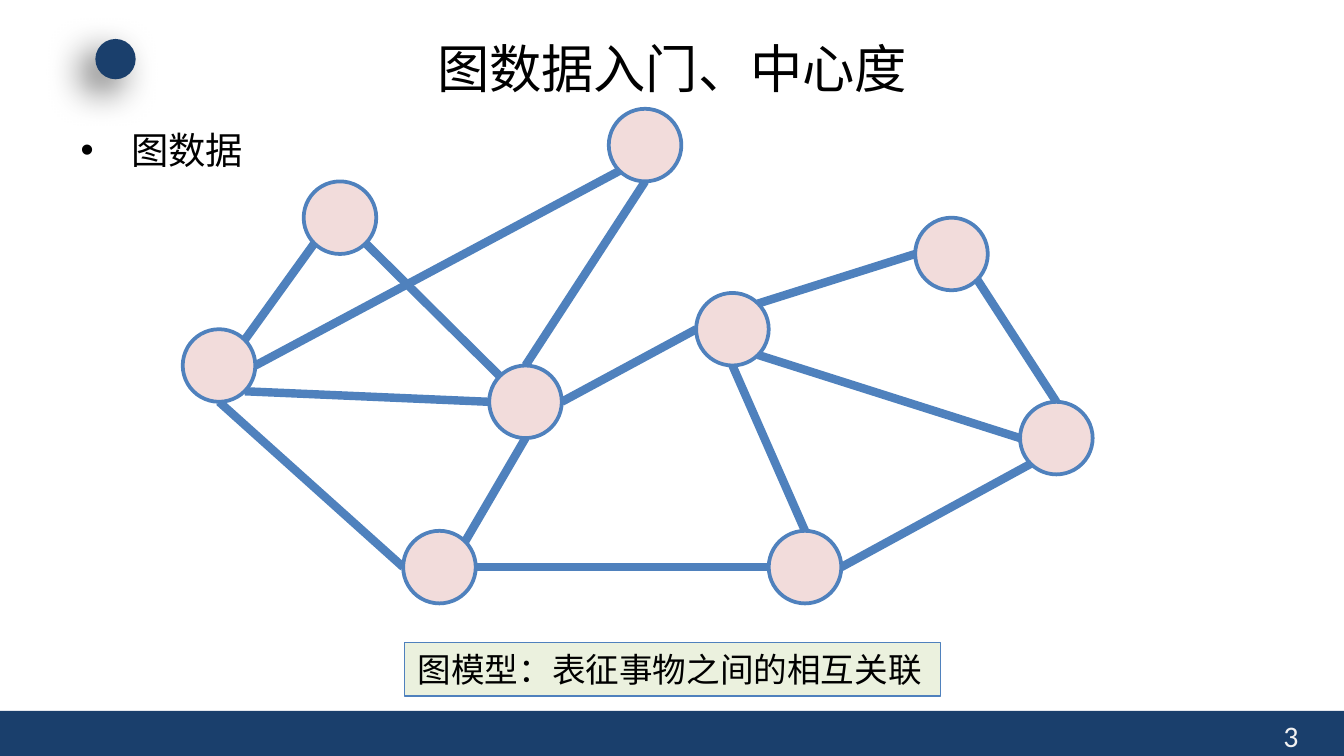
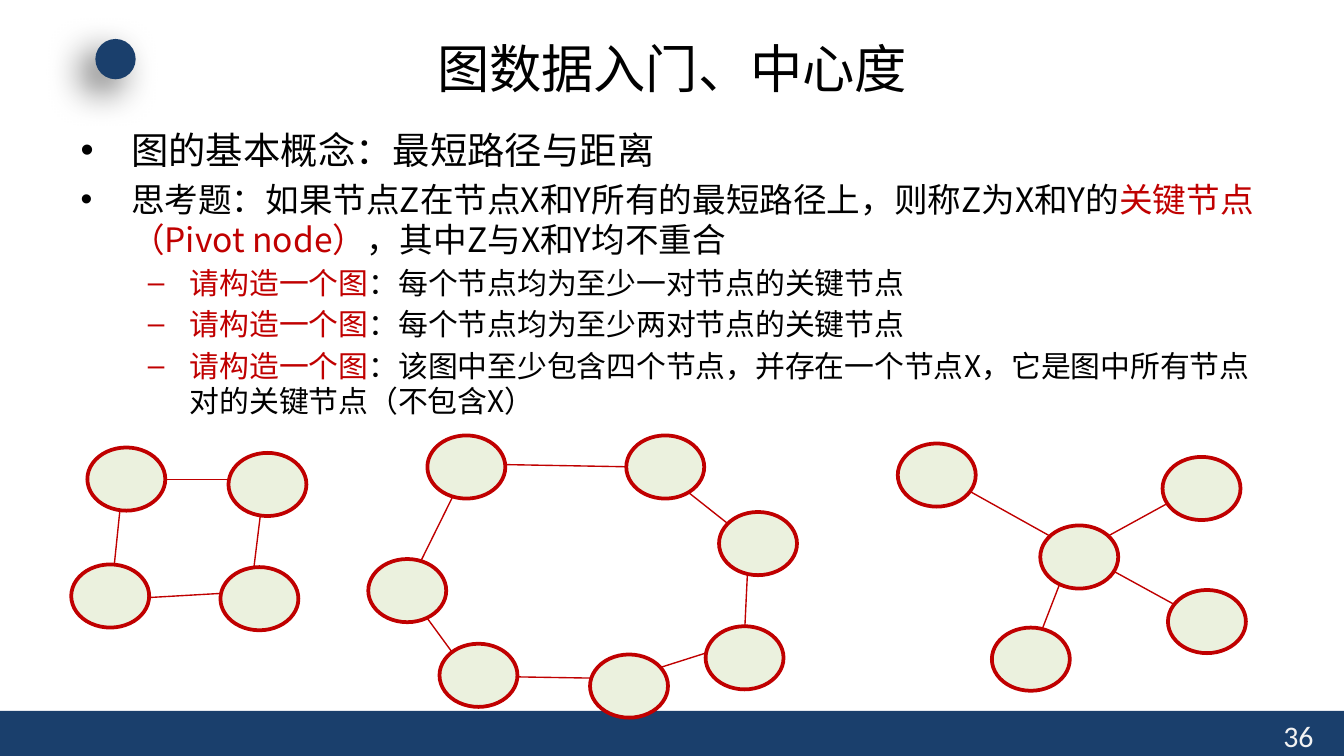
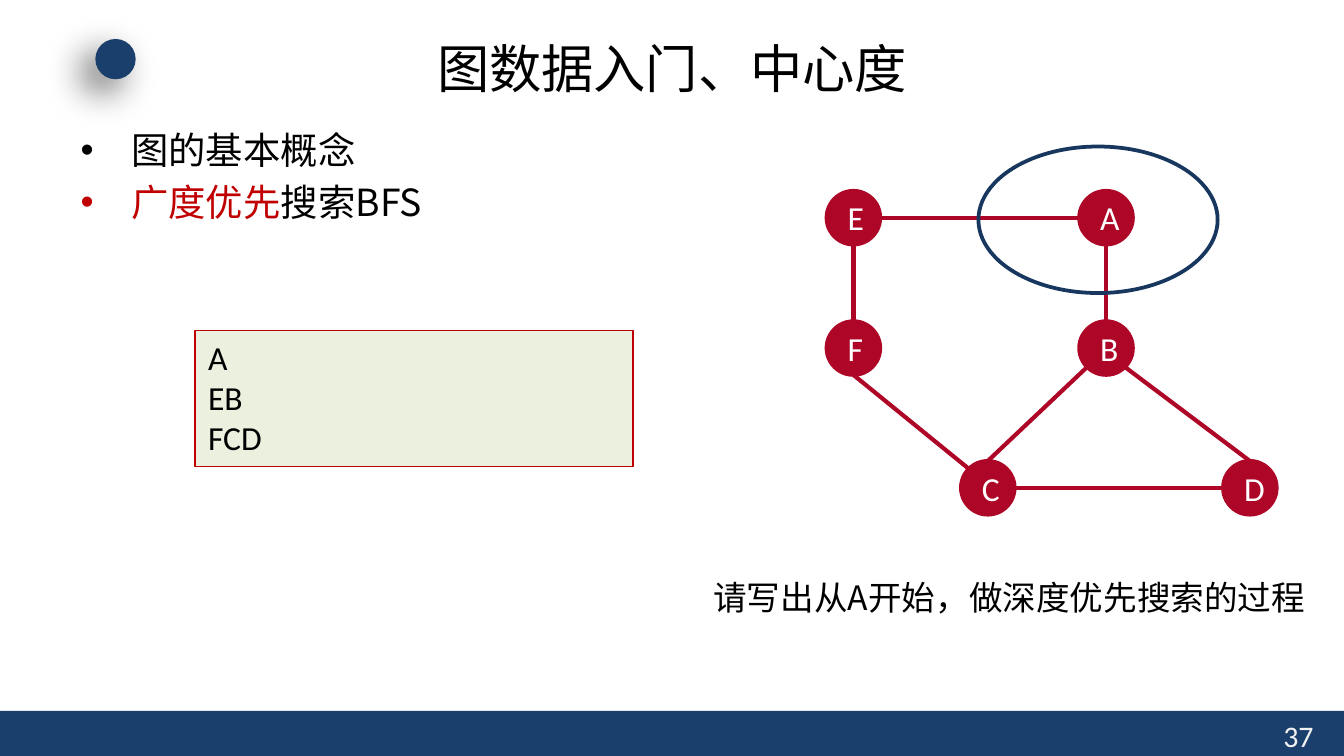
from dataclasses import dataclass
from lxml.etree import SubElement
from pptx import Presentation
from pptx.dml.color import RGBColor as RGB
from pptx.enum.shapes import MSO_CONNECTOR as LineKind, MSO_SHAPE as Preset
from pptx.enum.text import MSO_ANCHOR as Anchor, MSO_AUTO_SIZE as AutoSize, PP_ALIGN as Align
from pptx.oxml.ns import qn
from pptx.util import Inches, Pt


@dataclass(frozen=True)
class Theme:
    navy: str = "1A3F6C"
    ring: str = "17375E"
    blue: str = "4F81BD"
    pink: str = "F2DCDB"
    green: str = "EBF1DE"
    red: str = "C00000"
    crimson: str = "AE0627"
    black: str = "000000"
    white: str = "FFFFFF"
    pale: str = "F2F2F2"
    latin: str = "Calibri"
    cjk: str = "Noto Sans CJK SC"
    title: int = 28
    topic: int = 20
    text: int = 18
    detail: int = 16
    leading: float = 1.19


theme = Theme()


def draw(slide, preset, at, fill=None, line=None, width=2):
    shape = slide.shapes.add_shape(preset, *map(Inches, at))
    shape.shadow.inherit = False
    if fill:
        shape.fill.solid()
        shape.fill.fore_color.rgb = RGB.from_string(fill)
    else:
        shape.fill.background()
    if line:
        shape.line.color.rgb = RGB.from_string(line)
        shape.line.width = Pt(width)
    else:
        shape.line.fill.background()
    return shape


def write(paragraph, parts, size, font=theme.latin):
    paragraph.line_spacing = Pt(round(size * theme.leading, 1))
    for words, colour in parts:
        run = paragraph.add_run()
        run.text = words
        run.font.size = Pt(size)
        run.font.color.rgb = RGB.from_string(colour)
        run.font.name = font
        SubElement(run._r.get_or_add_rPr(), qn("a:ea"), typeface=theme.cjk)


deck = Presentation()
deck.slide_width = Inches(10)
deck.slide_height = deck.slide_width * 9 // 16
layout = deck.slide_layouts[1]
for holder in list(layout.placeholders):
    if holder.placeholder_format.idx > 1:
        holder.element.getparent().remove(holder.element)
for holder, at in zip(layout.placeholders, [(0.5, 0.23, 9, 0.55), (0.5, 0.9, 9, 4.31)]):
    holder.left, holder.top, holder.width, holder.height = map(Inches, at)

task = ("请构造一个图", theme.red)
contents = [
    (3, [(0, theme.topic, [("图数据", theme.black)])]),
    (36, [
        (0, theme.topic, [("图的基本概念：最短路径与距离", theme.black)]),
        (0, theme.text, [
            ("思考题：如果节点Z在节点X和Y所有的最短路径上，则称Z为X和Y的", theme.black),
            ("关键节点（Pivot node）", theme.red),
            ("，其中Z与X和Y均不重合", theme.black)]),
        (1, theme.detail, [task, ("：每个节点均为至少一对节点的关键节点", theme.black)]),
        (1, theme.detail, [task, ("：每个节点均为至少两对节点的关键节点", theme.black)]),
        (1, theme.detail, [task, (
            "：该图中至少包含四个节点，并存在一个节点X，它是图中所有节点对的关键节点（不包含X）",
            theme.black)]),
    ]),
    (37, [
        (0, theme.topic, [("图的基本概念", theme.black)]),
        (0, theme.topic, [("广度优先", theme.red), ("搜索BFS", theme.black)]),
    ]),
]

for number, points in contents:
    slide = deck.slides.add_slide(layout)
    heading, body = slide.placeholders
    heading.text_frame.auto_size = body.text_frame.auto_size = AutoSize.NONE
    heading.text_frame.vertical_anchor = Anchor.MIDDLE
    heading_line = heading.text_frame.paragraphs[0]
    heading_line.alignment = Align.CENTER
    write(heading_line, [("图数据入门、中心度", theme.black)], theme.title, theme.cjk)
    for index, (level, size, parts) in enumerate(points):
        point = body.text_frame.add_paragraph() if index else body.text_frame.paragraphs[0]
        point.level = level
        point.space_before = Pt(0.2 * size if index else 0)
        write(point, parts, size, theme.cjk)
    page = slide.shapes.add_textbox(*map(Inches, (9.45, 5.29, 0.5, 0.3)))
    write(page.text_frame.paragraphs[0], [(str(number), theme.pale)], theme.detail)

model_slide, pivot_slide, search_slide = deck.slides

band = draw(model_slide, Preset.RECTANGLE, (0, 5.29, 10, 0.34), theme.navy)
dot = draw(model_slide, Preset.OVAL, (0.71, 0.29, 0.3, 0.3), theme.navy)
glow = SubElement(
    dot.element.spPr.find(qn("a:effectLst")), qn("a:outerShdw"),
    blurRad=str(Pt(20)), dist=str(Pt(10)), dir=str(135 * 60000), algn="ctr", rotWithShape="0")
glow_colour = SubElement(glow, qn("a:srgbClr"), val=theme.black)
SubElement(glow_colour, qn("a:alpha"), val="60000")
for decoration in (band, dot):
    layout.shapes.element.append(decoration.element)

model_nodes = {
    "top left": (2.26, 1.35), "left": (1.36, 2.45), "bottom left": (3, 3.95),
    "hub left": (3.64, 2.72), "hub right": (5.18, 2.18), "bottom right": (5.72, 3.95),
    "right": (7.59, 2.99), "top right": (6.81, 1.62), "top": (4.53, 0.81),
}
model_links = [
    ("left", "NE", "top left", "SW"), ("left", "E", "top", "SW"),
    ("top left", "SE", "hub left", "NW"), ("left", "SE", "hub left", "W"),
    ("left", "S", "bottom left", "W"), ("hub left", "S", "bottom left", "NE"),
    ("bottom right", "W", "bottom left", "E"), ("hub right", "W", "hub left", "E"),
    ("top", "S", "hub left", "N"), ("top right", "W", "hub right", "NE"),
    ("top right", "SE", "right", "N"), ("bottom right", "E", "right", "SW"),
    ("hub right", "SE", "right", "W"), ("hub right", "S", "bottom right", "N"),
]
search_nodes = {
    "E": (6.15, 1.42), "A": (8.03, 1.42), "F": (6.15, 2.39),
    "B": (8.03, 2.39), "C": (7.15, 3.43), "D": (9.1, 3.43),
}
search_links = [
    ("A", "W", "E", "E"), ("F", "N", "E", "S"), ("B", "N", "A", "S"), ("B", "SW", "C", "N"),
    ("B", "SE", "D", "N"), ("C", "E", "D", "W"), ("C", "NW", "F", "S"),
]
pivot_nodes = [
    (3.18, 3.24), (4.66, 3.24), (2.74, 4.16), (3.27, 4.79), (4.39, 4.87), (5.35, 3.81), (5.25, 4.66),
    (7.74, 3.91), (6.68, 3.3), (8.65, 3.4), (8.69, 4.39), (7.38, 4.67),
    (0.65, 3.33), (1.7, 3.37), (0.53, 4.2), (1.64, 4.22),
]
pivot_edges = [
    (3.37, 3.45, 5.05, 3.48), (4.89, 3.48, 5.66, 4.09), (3.49, 3.45, 3.03, 4.38),
    (3.04, 4.41, 3.53, 5.08), (4.65, 5.05, 5.47, 4.79), (3.45, 5.03, 4.67, 5.05),
    (5.53, 4.92, 5.57, 4.09),
    (8.06, 4.09, 8.88, 3.64), (8.03, 4.11, 6.9, 3.48), (8.03, 4.11, 9.07, 4.68),
    (7.98, 4.1, 7.67, 4.9),
    (0.92, 3.53, 0.83, 4.4), (1.97, 3.57, 1.87, 4.38), (1.95, 3.57, 0.99, 3.57),
    (1.91, 4.4, 0.87, 4.46),
]

compass = {
    "N": (0, -1), "E": (1, 0), "S": (0, 1), "W": (-1, 0),
    "NE": (0.71, -0.71), "SE": (0.71, 0.71), "SW": (-0.71, 0.71), "NW": (-0.71, -0.71),
}
model_edges, search_edges = [
    [[nodes[name][axis] + size / 2 * (1 + compass[side][axis])
      for name, side in (link[:2], link[2:]) for axis in (0, 1)]
     for link in links]
    for nodes, links, size in (
        (model_nodes, model_links, 0.54), (search_nodes, search_links, 0.4))]

graphs = [
    (model_slide, model_nodes.values(), (0.54, 0.54), theme.pink, theme.blue, model_edges, 4.5),
    (pivot_slide, pivot_nodes, (0.58, 0.47), theme.green, theme.red, pivot_edges, 0.75),
    (search_slide, search_nodes.values(), (0.4, 0.4), theme.crimson, theme.crimson, search_edges, 2.25),
]
for slide, corners, size, fill, outline, edges, edge_width in graphs:
    for ends in edges:
        edge = slide.shapes.add_connector(LineKind.STRAIGHT, *map(Inches, ends))
        edge.line.color.rgb = RGB.from_string(outline)
        edge.line.width = Pt(edge_width)
        SubElement(edge.element.spPr, qn("a:effectLst"))
    circles = [draw(slide, Preset.OVAL, corner + size, fill, outline) for corner in corners]

for circle, letter in zip(circles, search_nodes):
    circle.text_frame.vertical_anchor = Anchor.MIDDLE
    circle.text_frame.paragraphs[0].alignment = Align.CENTER
    write(circle.text_frame.paragraphs[0], [(letter, theme.white)], theme.text)

draw(search_slide, Preset.OVAL, (7.28, 1.09, 1.78, 1.09), line=theme.ring)
question = search_slide.shapes.add_textbox(*map(Inches, (5.21, 4.25, 4.67, 0.4)))
question.text_frame.word_wrap = True
write(question.text_frame.paragraphs[0],
      [("请写出从A开始，做深度优先搜索的过程", theme.black)], theme.text, theme.cjk)

panels = [
    (model_slide, (3.01, 4.78, 3.99, 0.4), theme.blue, False, ["图模型：表征事物之间的相互关联"]),
    (search_slide, (1.45, 2.46, 3.26, 1.01), theme.red, True, ["A", "EB", "FCD"]),
]
for slide, at, outline, wrap, rows in panels:
    panel = draw(slide, Preset.RECTANGLE, at, theme.green, outline, 0.75).text_frame
    panel.word_wrap = wrap
    panel.vertical_anchor = Anchor.TOP
    for index, row in enumerate(rows):
        entry = panel.add_paragraph() if index else panel.paragraphs[0]
        entry.alignment = Align.LEFT
        write(entry, [(row, theme.black)], theme.text)

deck.save("out.pptx")
